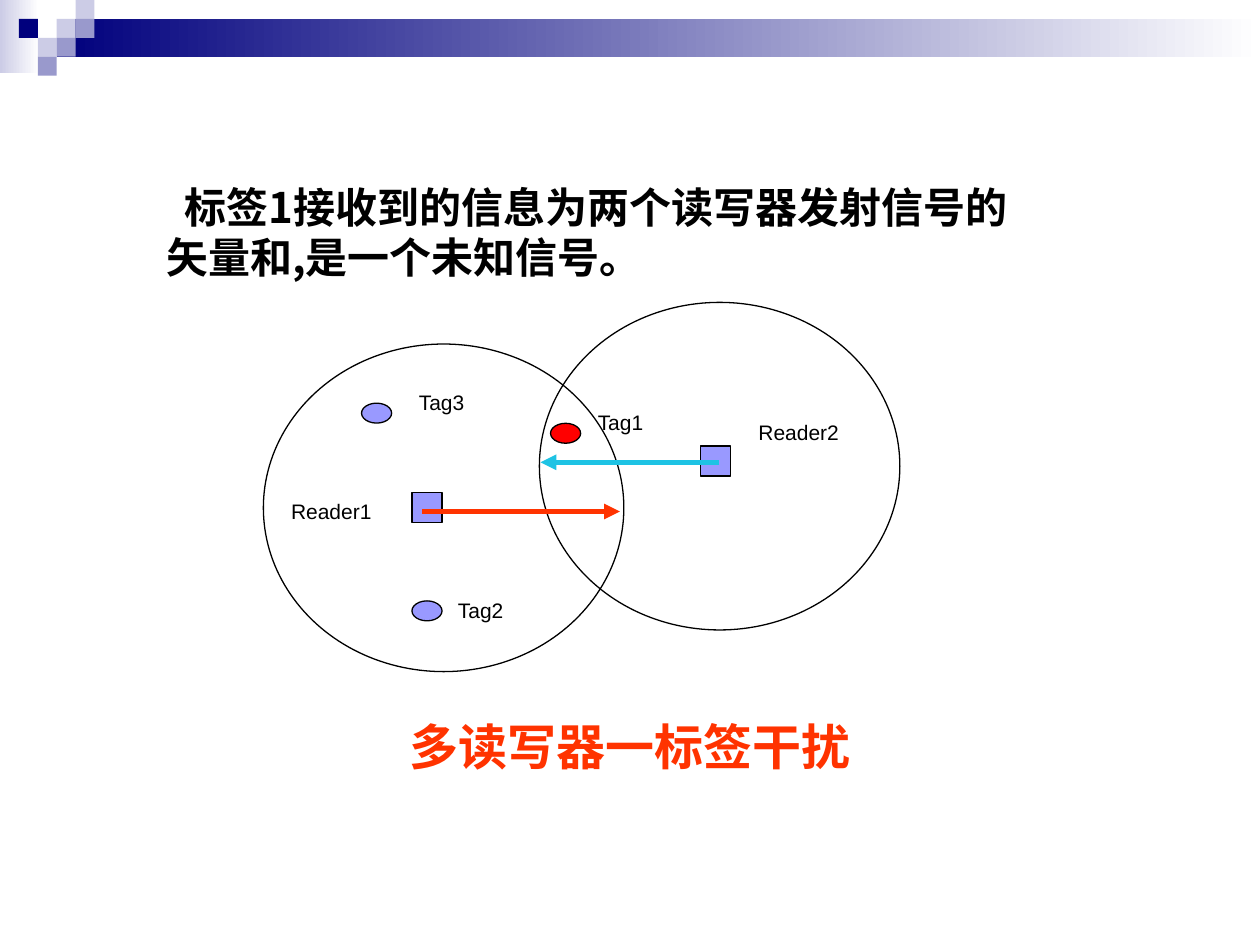
from lxml.etree import SubElement
from pptx import Presentation
from pptx.dml.color import RGBColor
from pptx.enum.shapes import MSO_CONNECTOR, MSO_SHAPE
from pptx.enum.text import PP_ALIGN as Align
from pptx.oxml.ns import qn
from pptx.util import Pt

NAVY = RGBColor(0x00, 0x00, 0x7D)
LAVENDER = RGBColor(0xCC, 0xCC, 0xE6)
SLATE = RGBColor(0x99, 0x99, 0xCC)
PERIWINKLE = RGBColor(0x99, 0x99, 0xFF)
RED = RGBColor(0xFF, 0x00, 0x00)
ORANGE = RGBColor(0xFF, 0x33, 0x00)
CYAN = RGBColor(0x1E, 0xC3, 0xE4)
BLACK = RGBColor(0x00, 0x00, 0x00)
WHITE = RGBColor(0xFF, 0xFF, 0xFF)

LATIN = "Arial"
CHINESE = "Noto Sans CJK SC"
CELL = 10.8

LABEL = {"name": LATIN, "size": Pt(12), "bold": False}
STATEMENT = {"name": CHINESE, "size": Pt(24), "bold": True}
CAPTION = {"name": CHINESE, "size": Pt(28), "bold": True}

# Header mosaic: column, row, colour
MOSAIC = [
    (3, 0, LAVENDER), (4, 0, LAVENDER), (3, 1, LAVENDER), (4, 1, SLATE),
    (2, 2, LAVENDER), (1, 1, NAVY), (3, 2, SLATE), (2, 3, SLATE),
]
MOSAIC = [cell for cell in MOSAIC if cell[:2] != (3, 0)]

# Diagram parts: left, top (and colour or text)
RANGES = [(150.5, 196.6), (308.2, 172.8)]
READERS = [(235.4, 281.5), (400.3, 254.9)]
TAGS = [(206.6, 230.4, PERIWINKLE), (235.4, 343.4, PERIWINKLE),
        (314.6, 241.9, RED)]
SIGNALS = [(241.2, 292.3, 354.2, ORANGE), (411.1, 264.2, 308.9, CYAN)]
TAG_LABELS = [("Tag3", 229.7, 218.9), ("Tag2", 252, 337.7),
              ("Tag1", 331.9, 230.4)]
READER_LABELS = [("Reader1", 155.5, 281.5), ("Reader2", 422.6, 236.2)]


def add_figure(slide, kind, left, top, width, height, color=None, line=None):
    shape = slide.shapes.add_shape(kind, Pt(left), Pt(top), Pt(width), Pt(height))
    shape.shadow.inherit = False
    if color is None:
        shape.fill.background()
    else:
        shape.fill.solid()
        shape.fill.fore_color.rgb = color
    if line is None:
        shape.line.fill.background()
    else:
        shape.line.color.rgb = line
        shape.line.width = Pt(0.75)
    return shape


def add_fade(slide, left, top, width, height, color):
    """Add a bar that fades from a colour to white, left to right."""
    shape = add_figure(slide, MSO_SHAPE.RECTANGLE, left, top, width, height)
    shape.fill.gradient()
    shape.fill.gradient_angle = 0
    for stop, stop_color in zip(shape.fill.gradient_stops, (color, WHITE)):
        stop.color.rgb = stop_color


def add_signal(slide, start, y, end, color):
    arrow = slide.shapes.add_connector(
        MSO_CONNECTOR.STRAIGHT, Pt(start), Pt(y), Pt(end), Pt(y))
    arrow.line.color.rgb = color
    arrow.line.width = Pt(3)
    SubElement(arrow.line._get_or_add_ln(), qn("a:tailEnd"), type="triangle")
    SubElement(arrow._element.spPr, qn("a:effectLst"))


def add_text(slide, text, left, top, width, height, style,
             color=BLACK, align=Align.CENTER, indent=0):
    box = slide.shapes.add_textbox(Pt(left), Pt(top), Pt(width), Pt(height))
    box.text_frame.word_wrap = True
    paragraph = box.text_frame.paragraphs[0]
    paragraph.alignment = align
    if indent:
        paragraph._p.get_or_add_pPr().set("indent", str(Pt(indent)))
    run = paragraph.add_run()
    run.text = text
    for name, value in style.items():
        setattr(run.font, name, value)
    run.font.color.rgb = color
    SubElement(run._r.get_or_add_rPr(), qn("a:ea"), typeface=style["name"])


def add_header(slide):
    add_fade(slide, 0, 0, 22.3, 41.8, LAVENDER)
    add_fade(slide, 3 * CELL, CELL, 720 - 3 * CELL, 2 * CELL, NAVY)
    for column, row, color in MOSAIC:
        add_figure(slide, MSO_SHAPE.RECTANGLE, column * CELL, row * CELL,
                   CELL, CELL, color)


def add_diagram(slide):
    # Reading ranges, readers and their signals
    for left, top in RANGES:
        add_figure(slide, MSO_SHAPE.OVAL, left, top, 206, 187.2, line=BLACK)
    for left, top in READERS:
        add_figure(slide, MSO_SHAPE.RECTANGLE, left, top, 17.2, 17.2,
                   PERIWINKLE, BLACK)
    for signal in SIGNALS:
        add_signal(slide, *signal)

    # Tags and labels
    for left, top, color in TAGS:
        add_figure(slide, MSO_SHAPE.OVAL, left, top, 17.2, 11.4, color, BLACK)
    for labels, width in ((TAG_LABELS, 45.4), (READER_LABELS, 67.7)):
        for text, left, top in labels:
            add_text(slide, text, left, top, width, 21.6, LABEL)


def main():
    presentation = Presentation()
    presentation.slide_width = Pt(720)
    presentation.slide_height = Pt(540)
    slide = presentation.slides.add_slide(presentation.slide_layouts[6])

    add_header(slide)
    add_diagram(slide)

    # Caption and statement
    add_text(slide, "多读写器一标签干扰", 178.6, 406.1, 362.9, 41, CAPTION, ORANGE)
    add_text(slide, "标签1接收到的信息为两个读写器发射信号的矢量和,是一个未知信号。",
             87.8, 100.1, 504.7, 64.8, STATEMENT, align=Align.LEFT, indent=10.5)

    presentation.save("out.pptx")


if __name__ == "__main__":
    main()
